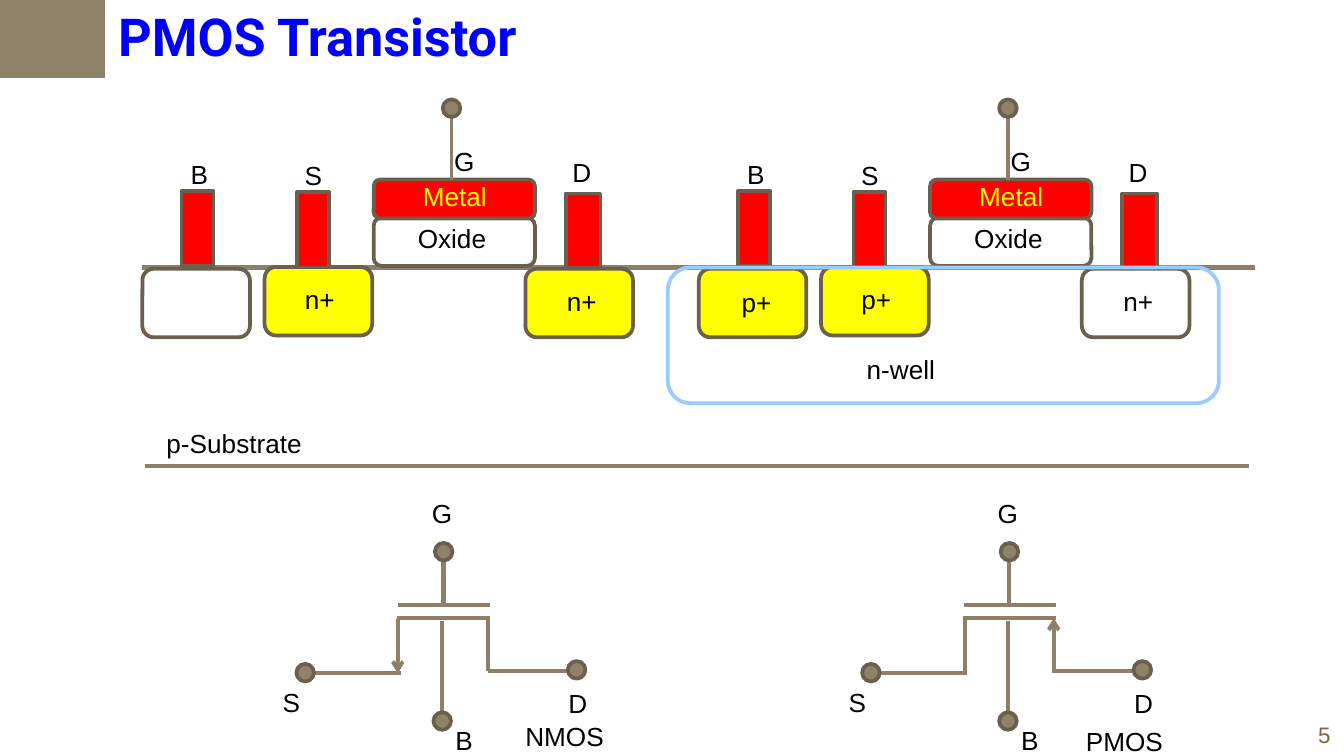
from pptx import Presentation
from pptx.dml.color import RGBColor
from pptx.enum.shapes import MSO_CONNECTOR, MSO_SHAPE
from pptx.enum.text import MSO_AUTO_SIZE
from pptx.oxml.ns import qn
from pptx.util import Pt
from lxml import etree

STRAIGHT = MSO_CONNECTOR.STRAIGHT
RECTANGLE = MSO_SHAPE.RECTANGLE
ROUNDED = MSO_SHAPE.ROUNDED_RECTANGLE
OVAL = MSO_SHAPE.OVAL
FIT_TEXT = MSO_AUTO_SIZE.SHAPE_TO_FIT_TEXT

COLORS = {
    "tan": "908269", "wire": "8E7F66", "outline": "6B604E", "number": "786745",
    "title": "0000FF", "red": "FF0000", "yellow": "FFFF00", "well": "99CCFF",
    "black": "000000",
}
SECTION_STEP = 298.1
SYMBOL_STEP = 303.1


class TransistorSlide:
    """Draws the parts of a transistor diagram on one slide, in points."""

    def __init__(self, slide):
        self.slide = slide

    def color(self, name):
        return RGBColor.from_string(COLORS[name])

    def box(self, kind, left, top, width, height, fill=None, line="outline"):
        shape = self.slide.shapes.add_shape(kind, Pt(left), Pt(top), Pt(width), Pt(height))
        shape.shadow.inherit = False
        if fill:
            shape.fill.solid()
            shape.fill.fore_color.rgb = self.color(fill)
        else:
            shape.fill.background()
        if line:
            shape.line.color.rgb = self.color(line)
            shape.line.width = Pt(2)
        else:
            shape.line.fill.background()

    def terminal(self, left, top):
        self.box(OVAL, left, top, 9.4, 9.4, "tan")

    def diffusion(self, left, top, fill):
        self.box(ROUNDED, left, top, 57.6, 36.7, fill)

    def text(self, words, left, top, width, height=24.5, size=14, color="black",
             font="Arial", bold=False, wrap=False):
        shape = self.slide.shapes.add_textbox(Pt(left), Pt(top), Pt(width), Pt(height))
        frame = shape.text_frame
        frame.word_wrap = wrap
        frame.auto_size = FIT_TEXT
        paragraph = frame.paragraphs[0]
        paragraph.text = words
        paragraph.font.size = Pt(size)
        paragraph.font.name = font
        paragraph.font.bold = bold
        paragraph.font.color.rgb = self.color(color)

    def wire(self, x1, y1, x2, y2, width=2.25, arrow=False):
        connector = self.slide.shapes.add_connector(STRAIGHT, Pt(x1), Pt(y1), Pt(x2), Pt(y2))
        connector.line.color.rgb = self.color("wire")
        connector.line.width = Pt(width)
        if arrow:
            outline = connector.line._get_or_add_ln()
            etree.SubElement(outline, qn("a:tailEnd"), type="arrow")
        etree.SubElement(connector._element.spPr, qn("a:effectLst"))

    def cross_section(self, x, bulk, source, drain):
        """Each diffusion is a pair of fill and label."""
        for (fill, label), left, top, label_left, label_top in (
            (bulk, 76.3, 144, 92.1, 149.8),
            (source, 141.8, 143, 156.2, 148.3),
            (drain, 281.5, 144, 296.6, 149.6),
        ):
            self.diffusion(x + left, top, fill)
            if label:
                self.text(label, x + label_left, label_top, 30.2)
        self.box(ROUNDED, x + 200.2, 116.6, 86.4, 25.9)
        self.box(ROUNDED, x + 200.2, 96.2, 86.4, 20.9, "red")
        self.text("Oxide", x + 216.7, 115.6, 51.1)
        self.text("Metal", x + 219.4, 93.2, 49, color="yellow")
        for left, top, width, height in (
            (97.2, 102.4, 17.3, 40.3), (159.1, 103, 17.3, 40.3), (303.1, 103.7, 18.7, 39.6),
        ):
            self.box(RECTANGLE, x + left, top, width, height, "red")
        self.text("B", x + 95, 81.4, 20.2, wrap=True)
        self.text("S", x + 156.2, 81.7, 23.8)
        self.text("D", x + 299.5, 80.3, 24.5)
        self.text("G", x + 236.2, 74.2, 25.2)
        self.wire(x + 241.9, 61.9, x + 241.9, 96.2, 2)
        self.terminal(x + 237.2, 53.3)

    def symbol(self, x, is_nmos):
        self.wire(x + 212.7, 331.2, x + 262.4, 331.2)
        self.wire(x + 213.1, 324, x + 262.6, 324)
        self.wire(x + 237.6, 295.2, x + 237.6, 324)
        self.wire(x + 236.9, 332.6, x + 236.9, 383)
        self.wire(x + 261.4, 359.3, x + 311, 359.3)
        self.wire(x + 215, 360.7, x + 167.8, 360.7)
        if is_nmos:
            self.wire(x + 213.1, 331.9, x + 213.1, 360.7, 2, arrow=True)
            self.wire(x + 261.4, 330.5, x + 261.4, 359.3)
        else:
            self.wire(x + 213.9, 331.2, x + 213.9, 360.7)
            self.wire(x + 261.4, 360.7, x + 261.4, 331.2, 2, arrow=True)
        for left, top in ((233, 290.9), (304.2, 354.2), (158.8, 355.7), (232.2, 381.6)):
            self.terminal(x + left, top)
        self.text("G", x + 224.3, 262.8, 25.2)
        self.text("D", x + 297.4, 365, 24.5)
        self.text("S", x + 144.4, 364.3, 23.8)
        self.text("B", x + 236.9, 384.5, 23.8)


def main():
    presentation = Presentation()
    presentation.slide_width = Pt(720)
    presentation.slide_height = Pt(405)
    slide = presentation.slides.add_slide(presentation.slide_layouts[6])
    diagram = TransistorSlide(slide)

    diagram.text("5", 699.1, 383, 20.9, 21.6, size=12, color="number")
    diagram.box(RECTANGLE, 0, -1.4, 56.2, 43.2, "tan", line=None)
    diagram.text("PMOS Transistor", 56.2, -1.4, 245.5, 41, size=28, color="title",
                 font="Roboto", bold=True)

    diagram.wire(76.3, 143.3, 672.5, 143.3)
    diagram.wire(77.8, 249.8, 668.9, 249.8)
    diagram.text("p-Substrate", 82.1, 225.4, 87.1)
    diagram.cross_section(0, (None, None), ("yellow", "n+"), ("yellow", "n+"))
    diagram.cross_section(SECTION_STEP, ("yellow", "p+"), ("yellow", "p+"), (None, "n+"))
    diagram.box(ROUNDED, 357.8, 143.3, 295.2, 72.7, line="well")
    diagram.text("n-well", 457.2, 185.8, 51.1)

    diagram.symbol(0, is_nmos=True)
    diagram.symbol(SYMBOL_STEP, is_nmos=False)
    diagram.text("NMOS", 274.3, 382.3, 56.9)
    diagram.text("PMOS", 574.6, 385.2, 56.2)
    presentation.save("out.pptx")


if __name__ == "__main__":
    main()
